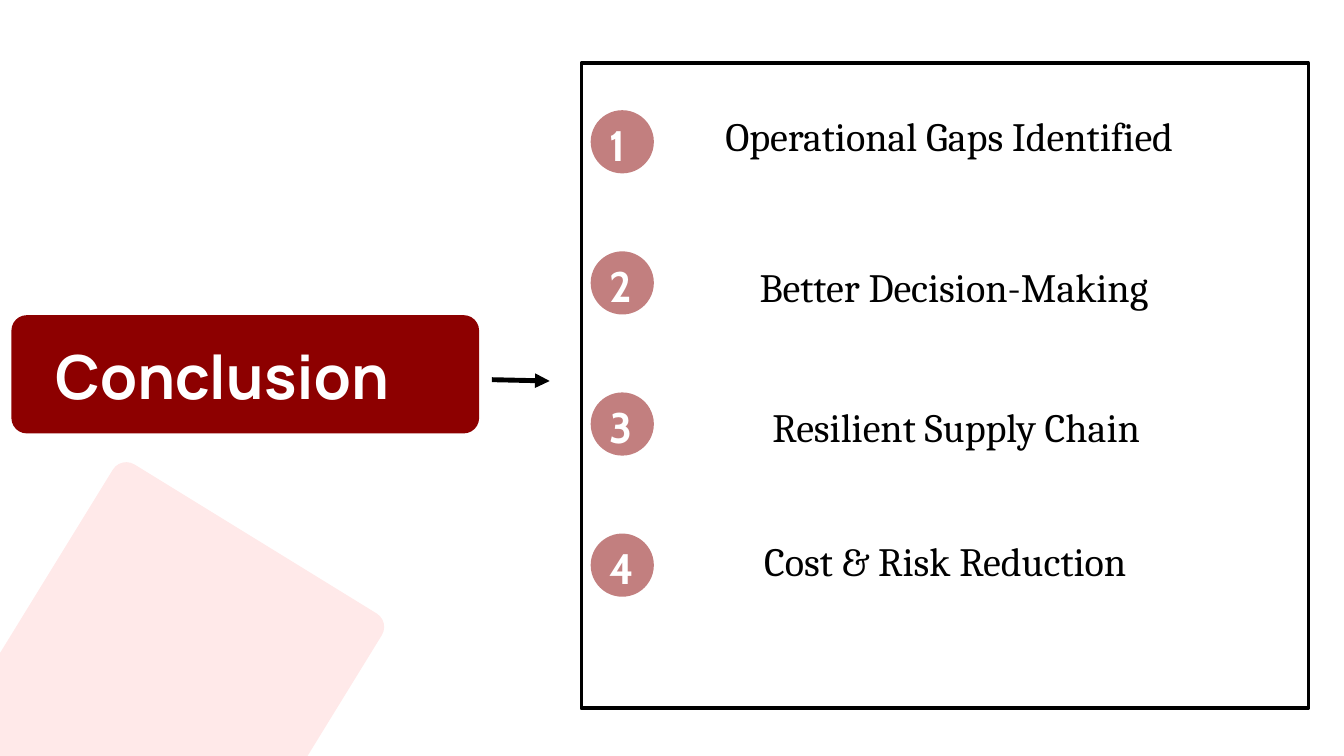
from dataclasses import dataclass

import pptx
import pptx.dml.color
import pptx.enum.shapes
import pptx.enum.text
import pptx.oxml
import pptx.oxml.ns
import pptx.util

Inches = pptx.util.Inches
Pt = pptx.util.Pt
Preset = pptx.enum.shapes.MSO_SHAPE
Align = pptx.enum.text.PP_ALIGN

BLACK, WHITE = "000000", "FFFFFF"
DARK_RED, ROSE, BLUSH = "8D0000", "C27F7F", "FFE9E9"


@dataclass
class Frame:
    left: float
    top: float
    width: float
    height: float

    def lengths(self):
        return [Inches(n) for n in (self.left, self.top, self.width, self.height)]


@dataclass
class TextStyle:
    font: str
    size: float
    leading: float
    color: str
    bold: bool = False
    align: Align = Align.LEFT


@dataclass
class Takeaway:
    text: str
    frame: Frame


TITLE = TextStyle("Manrope", 65, 65, WHITE, bold=True)
NUMBER = TextStyle("Cabin", 45.7, 64, WHITE, bold=True)
TAKEAWAY = TextStyle("Cambria", 43, 60.2, BLACK, align=Align.CENTER)

TAKEAWAYS = [
    Takeaway("Operational Gaps Identified", Frame(10, 1.54, 8.25, 0.81)),
    Takeaway("Better Decision-Making", Frame(10.07, 3.78, 8.25, 0.81)),
    Takeaway("Resilient Supply Chain", Frame(10.21, 5.87, 8.04, 0.81)),
    Takeaway("Cost & Risk Reduction", Frame(10.21, 7.86, 7.71, 0.81)),
]
FIRST_BADGE_TOP, BADGE_STEP, BADGE_SIZE = 1.64, 2.1, 0.94


def rgb(color: str):
    return pptx.dml.color.RGBColor.from_string(color)


def add_block(page, preset, frame: Frame, fill: str):
    shape = page.shapes.add_shape(preset, *frame.lengths())
    shape.shadow.inherit = False
    shape.fill.solid()
    shape.fill.fore_color.rgb = rgb(fill)
    shape.line.fill.background()
    return shape


def write(box, text: str, style: TextStyle) -> None:
    text_frame = box.text_frame
    text_frame.word_wrap = True
    text_frame.auto_size = pptx.enum.text.MSO_AUTO_SIZE.NONE
    text_frame.vertical_anchor = pptx.enum.text.MSO_ANCHOR.TOP
    text_frame.margin_left = text_frame.margin_right = 0
    text_frame.margin_top = text_frame.margin_bottom = 0
    paragraph = text_frame.paragraphs[0]
    paragraph.text = text
    paragraph.alignment = style.align
    paragraph.line_spacing = Pt(style.leading)
    paragraph.font.name = style.font
    paragraph.font.size = Pt(style.size)
    paragraph.font.bold = style.bold
    paragraph.font.color.rgb = rgb(style.color)


def add_text(page, frame: Frame, text: str, style: TextStyle) -> None:
    write(page.shapes.add_textbox(*frame.lengths()), text, style)


def add_title(page, frame: Frame, text: str) -> None:
    title = page.shapes.title
    title.left, title.top, title.width, title.height = frame.lengths()
    write(title, text, TITLE)
    # Lift the title above the banner
    title._element.getparent().append(title._element)


def add_arrow(page, start, end) -> None:
    arrow = page.shapes.add_connector(
        pptx.enum.shapes.MSO_CONNECTOR.STRAIGHT,
        *[Inches(n) for n in (*start, *end)])
    arrow.line.width = Pt(5.25)
    arrow.line.color.rgb = rgb(BLACK)
    line = arrow.line._get_or_add_ln()
    line.append(pptx.oxml.parse_xml(
        f'<a:tailEnd {pptx.oxml.ns.nsdecls("a")} type="triangle"/>'))
    arrow._element.spPr.append(pptx.oxml.parse_xml(
        f'<a:effectLst {pptx.oxml.ns.nsdecls("a")}/>'))


def add_badge(page, number: int) -> None:
    top = FIRST_BADGE_TOP + (number - 1) * BADGE_STEP
    add_block(page, Preset.OVAL, Frame(8.79, top, BADGE_SIZE, BADGE_SIZE), ROSE)
    add_text(page, Frame(9.07, top, 0.4, 0.85), str(number), NUMBER)


def main() -> None:
    deck = pptx.Presentation()
    deck.slide_width, deck.slide_height = Inches(20), Inches(11.25)
    page = deck.slides.add_slide(deck.slide_layouts[5])

    # Panel that holds the takeaways
    panel = add_block(page, Preset.RECTANGLE, Frame(8.65, 0.94, 10.82, 9.6), WHITE)
    panel.line.color.rgb = rgb(BLACK)
    panel.line.width = Pt(3.75)

    # Title banner and arrow to the panel
    banner = add_block(page, Preset.ROUNDED_RECTANGLE,
                       Frame(0.17, 4.69, 6.96, 1.76), DARK_RED)
    banner.adjustments[0] = 0.13
    add_title(page, Frame(0.82, 5.23, 6.01, 1.01), "Conclusion")
    add_arrow(page, (7.32, 5.65), (8.18, 5.67))

    # Tilted decoration in the lower left corner
    tile = add_block(page, Preset.ROUNDED_RECTANGLE,
                     Frame(-2.01, 8.92, 7.63, 4.7), BLUSH)
    tile.adjustments[0] = 0.05
    tile.rotation = 301.6

    # Numbered takeaways
    for number, takeaway in enumerate(TAKEAWAYS, start=1):
        add_badge(page, number)
        add_text(page, takeaway.frame, takeaway.text, TAKEAWAY)

    deck.save("out.pptx")


if __name__ == "__main__":
    main()
